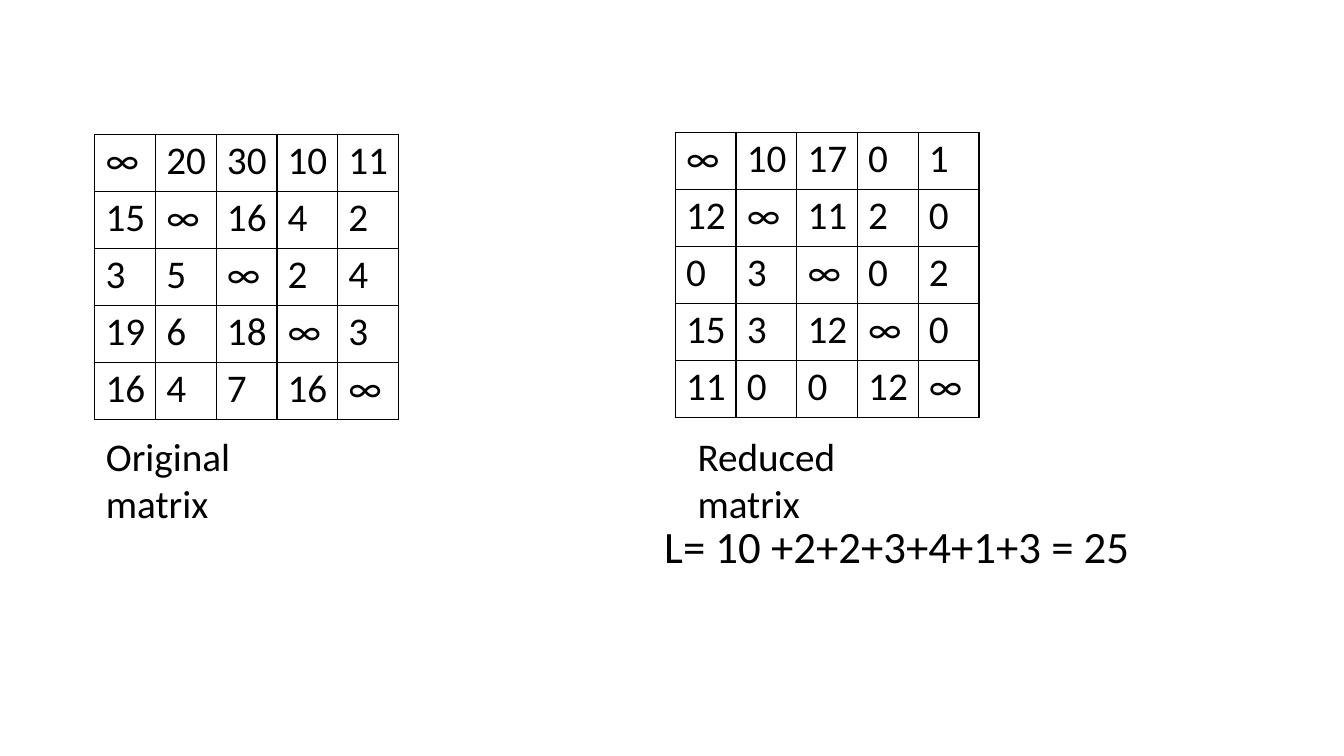
from lxml import etree
from pptx import Presentation
from pptx import util as u
from pptx.dml import color
from pptx.enum import text
from pptx.oxml import ns

COLORS = {"ink": "000000"}
FONT = "Calibri"
COLUMN_WIDTH, ROW_HEIGHT = u.Cm(1.53), u.Cm(1.44)


def write(frame, words, size=28, before=1.8, left=0.03, top=0.03):
    """Fill a text frame with one formatted paragraph."""
    frame.word_wrap = True
    frame.margin_left, frame.margin_top = u.Cm(left), u.Cm(top)
    frame.margin_right = frame.margin_bottom = 0
    paragraph = frame.paragraphs[0]
    paragraph.space_before = u.Pt(before)
    run = paragraph.add_run()
    run.text = words
    run.font.name, run.font.size = FONT, u.Pt(size)
    run.font.color.rgb = color.RGBColor.from_string(COLORS["ink"])


def add_borders(cell):
    """Draw a thin line on all four sides of a cell."""
    properties = cell._tc.get_or_add_tcPr()
    for side in ("lnL", "lnR", "lnT", "lnB"):
        line = etree.SubElement(properties, ns.qn(f"a:{side}"), w=str(u.Pt(1)))
        fill = etree.SubElement(line, ns.qn("a:solidFill"))
        etree.SubElement(fill, ns.qn("a:srgbClr"), val=COLORS["ink"])


presentation = Presentation()
presentation.slide_width, presentation.slide_height = u.Cm(33.87), u.Cm(19.05)
slide = presentation.slides.add_slide(presentation.slide_layouts[6])

# Cost matrices: left, top, rows
matrices = [
    (2.39, 3.38, ["∞ 20 30 10 11", "15 ∞ 16 4 2", "3 5 ∞ 2 4",
                  "19 6 18 ∞ 3", "16 4 7 16 ∞"]),
    (17.02, 3.33, ["∞ 10 17 0 1", "12 ∞ 11 2 0", "0 3 ∞ 0 2",
                   "15 3 12 ∞ 0", "11 0 0 12 ∞"]),
]
for left, top, rows in matrices:
    values = [row.split() for row in rows]
    size = len(values)
    table = slide.shapes.add_table(size, size, u.Cm(left), u.Cm(top),
                                   COLUMN_WIDTH * size, ROW_HEIGHT * size).table
    table.first_row = table.horz_banding = False
    for column in table.columns:
        column.width = COLUMN_WIDTH
    for row, row_values in zip(table.rows, values):
        row.height = ROW_HEIGHT
        for cell, value in zip(row.cells, row_values):
            add_borders(cell)
            cell.fill.background()
            write(cell.text_frame, value, left=0.27, top=0.07)
            cell.margin_left, cell.margin_top = u.Cm(0.27), u.Cm(0.07)
            cell.margin_right = cell.margin_bottom = 0

# Captions and the lower bound: words, left, top, width, height, size
labels = [
    ("Original matrix", 2.64, 10.87, 5.84, 1.24, 28),
    ("Reduced matrix", 17.55, 10.87, 6.17, 1.24, 28),
    ("L= 10 +2+2+3+4+1+3 = 25", 16.71, 13.03, 11.81, 1.42, 32),
]
for words, left, top, width, height, size in labels:
    shape = slide.shapes.add_textbox(u.Cm(left), u.Cm(top), u.Cm(width), u.Cm(height))
    shape.text_frame.auto_size = text.MSO_AUTO_SIZE.SHAPE_TO_FIT_TEXT
    write(shape.text_frame, words, size=size, before=1)

presentation.save("out.pptx")
